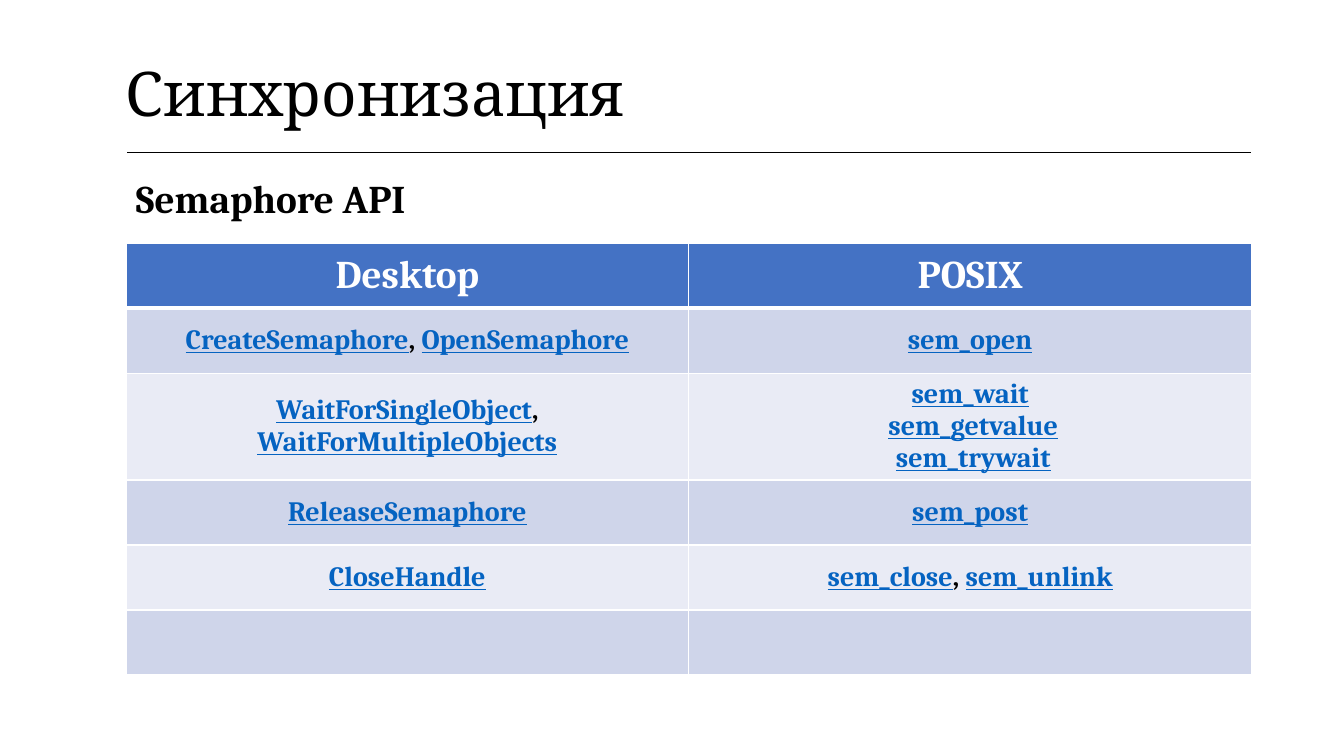
from lxml.etree import SubElement as Sub
from pptx import Presentation
from pptx.dml.color import RGBColor as RGB
from pptx.enum.text import MSO_ANCHOR as Anchor, PP_ALIGN as Align
from pptx.oxml.ns import qn
from pptx.util import Pt

FONT = "Cambria"
BLACK = RGB(0x00, 0x00, 0x00)
WHITE = RGB(0xFF, 0xFF, 0xFF)
HEAD = RGB(0x44, 0x72, 0xC4)
BANDS = (RGB(0xE9, 0xEB, 0xF5), RGB(0xCF, 0xD5, 0xEA))
LINK = RGB(0x05, 0x63, 0xC1)
GLUE = (", ", " ")

LEFT, WIDTH = 90, 804
ROW = 46.4

# Each cell is a list of paragraphs, each paragraph a list of runs
HEADS = ("Desktop", "POSIX")
CALLS = (
    ([["CreateSemaphore", ", ", "OpenSemaphore"]], [["sem_open"]]),
    ([["WaitForSingleObject", ", ", "WaitForMultipleObjects"]],
     [["sem_wait"], [" ", "sem_getvalue"], [" ", "sem_trywait"]]),
    ([["ReleaseSemaphore"]], [["sem_post"]]),
    ([["CloseHandle"]], [["sem_close", ", ", "sem_unlink"]]),
    ([], []),
)


def add_run(para, text, size, color, bold=True, under=False):
    run = para.add_run()
    run.text = text
    font = run.font
    font.name, font.size = FONT, Pt(size)
    font.bold, font.underline = bold, under
    font.color.rgb = color


def add_grid(slide, rows, cols, top, height):
    frame = slide.shapes.add_table(
        rows, cols, Pt(LEFT), Pt(top), Pt(WIDTH), Pt(height))
    grid = frame.table
    grid.first_row = grid.horz_banding = False
    return grid


def set_edge(cell, side, color, width):
    # Cell lines must come before the fill
    props = cell._tc.get_or_add_tcPr()
    line = Sub(props, qn(f"a:ln{side}"), w=str(Pt(width)))
    fill = Sub(line, qn("a:solidFill"))
    Sub(fill, qn("a:srgbClr"), val=str(color))


def style_cell(cell, fill, base):
    for side in "LRTB":
        set_edge(cell, side, WHITE, base if side == "B" else 1)
    cell.fill.solid()
    cell.fill.fore_color.rgb = fill
    cell.vertical_anchor = Anchor.MIDDLE


def add_title(slide, text):
    cell = add_grid(slide, 1, 1, 28.8, 80).cell(0, 0)
    set_edge(cell, "B", BLACK, 1)
    cell.fill.background()
    cell.vertical_anchor = Anchor.MIDDLE
    cell.margin_left = cell.margin_right = 0
    cell.margin_top = cell.margin_bottom = 0
    add_run(cell.text_frame.paragraphs[0], text, 44, BLACK, bold=False)


def add_label(slide, text):
    box = slide.shapes.add_textbox(Pt(LEFT), Pt(121), Pt(480), Pt(41))
    box.text_frame.word_wrap = True
    add_run(box.text_frame.paragraphs[0], text, 28, BLACK)


def fill_calls(cell, paras):
    frame = cell.text_frame
    for i, parts in enumerate(paras):
        para = frame.add_paragraph() if i else frame.paragraphs[0]
        para.alignment = Align.CENTER
        for part in parts:
            link = part not in GLUE
            add_run(para, part, 20, LINK if link else BLACK, under=link)


def add_calls(slide):
    count = len(CALLS) + 1
    grid = add_grid(slide, count, len(HEADS), 173.8, ROW * count)
    for row in grid.rows:
        row.height = Pt(ROW)
    # Header row
    for c, text in enumerate(HEADS):
        cell = grid.cell(0, c)
        style_cell(cell, HEAD, 3)
        para = cell.text_frame.paragraphs[0]
        para.alignment = Align.CENTER
        add_run(para, text, 28, WHITE)
    # Banded rows of calls
    for r, line in enumerate(CALLS, 1):
        for c, paras in enumerate(line):
            cell = grid.cell(r, c)
            style_cell(cell, BANDS[r % 2], 1)
            if r == 1:
                cell._tc.tcPr.find(qn("a:lnT")).set("w", str(Pt(3)))
            fill_calls(cell, paras)


def main():
    deck = Presentation()
    deck.slide_width, deck.slide_height = Pt(960), Pt(540)
    slide = deck.slides.add_slide(deck.slide_layouts[6])
    add_title(slide, "Синхронизация")
    add_calls(slide)
    add_label(slide, "Semaphore API")
    deck.save("out.pptx")


if __name__ == "__main__":
    main()
